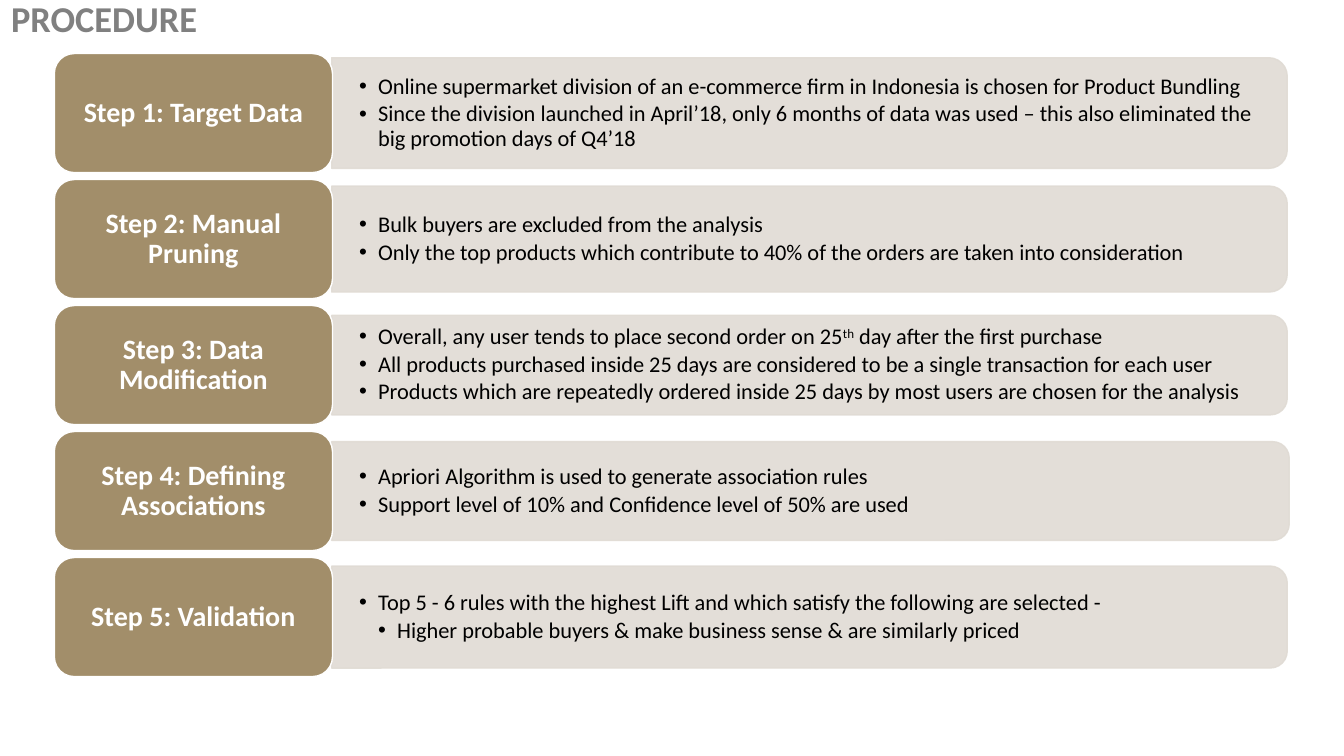
import dataclasses

import lxml.etree
import pptx
import pptx.dml.color
import pptx.enum.shapes
import pptx.enum.text
import pptx.oxml.ns
import pptx.shapes.autoshape
import pptx.slide
import pptx.text.text
import pptx.util

Cm = pptx.util.Cm
Pt = pptx.util.Pt


@dataclasses.dataclass(frozen=True)
class Theme:
    font: str = "Calibri"
    title: str = "808080"
    label: str = "A28E6A"
    panel: str = "E0DBD4"
    body: str = "000000"
    white: str = "FFFFFF"
    title_size: int = 26
    label_size: int = 20
    body_size: int = 16


@dataclasses.dataclass(frozen=True)
class Bullet:
    text: str  # parts between ^ marks are superscript
    level: int = 1


@dataclasses.dataclass(frozen=True)
class Step:
    label: str
    panel_height: float
    bullets: tuple[Bullet, ...]
    panel_width: float = 24.08


THEME = Theme()

# Row geometry in centimetres
FIRST_CENTER, PITCH = 2.85, 3.175
LABEL_LEFT, LABEL_WIDTH, LABEL_HEIGHT = 1.37, 7.01, 3.0
PANEL_LEFT = 8.36
INDENT = 0.48

STEPS = (
    Step("Step 1: Target Data", 2.79, (
        Bullet("Online supermarket division of an e-commerce firm in Indonesia "
               "is chosen for Product Bundling"),
        Bullet("Since the division launched in April’18, only 6 months of data was used – "
               "this also eliminated the big promotion days of Q4’18"),
    )),
    Step("Step 2: Manual Pruning", 2.67, (
        Bullet("Bulk buyers are excluded from the analysis"),
        Bullet("Only the top products which contribute to 40% of the orders "
               "are taken into consideration"),
    )),
    Step("Step 3: Data Modification", 2.51, (
        Bullet("Overall, any user tends to place second order on 25^th^ day "
               "after the first purchase"),
        Bullet("All products purchased inside 25 days are considered to be "
               "a single transaction for each user"),
        Bullet("Products which are repeatedly ordered inside 25 days by most users "
               "are chosen for the analysis"),
    )),
    Step("Step 4: Defining Associations", 2.49, (
        Bullet("Apriori Algorithm is used to generate association rules"),
        Bullet("Support level of 10% and Confidence level of 50% are used"),
    ), panel_width=24.13),
    Step("Step 5: Validation", 2.57, (
        Bullet("Top 5 - 6 rules with the highest Lift and which satisfy "
               "the following are selected -"),
        Bullet("Higher probable buyers & make business sense & are similarly priced", 2),
    )),
)


def rgb(color: str) -> pptx.dml.color.RGBColor:
    return pptx.dml.color.RGBColor.from_string(color)


def setup_frame(tf: pptx.text.text.TextFrame, inset_x: float, inset_y: float) -> None:
    tf.word_wrap = True
    tf.vertical_anchor = pptx.enum.text.MSO_ANCHOR.MIDDLE
    tf.margin_left = tf.margin_right = Cm(inset_x)
    tf.margin_top = tf.margin_bottom = Cm(inset_y)


def style_paragraph(p: pptx.text.text._Paragraph, size: int, color: str,
                    bold: bool = False) -> None:
    p.line_spacing = 0.9
    for r in p.runs:
        r.font.name = THEME.font
        r.font.size = Pt(size)
        r.font.bold = bold
        r.font.color.rgb = rgb(color)


def style_shape(sp: pptx.shapes.autoshape.Shape, fill: str, line: str) -> None:
    sp.shadow.inherit = False
    sp.fill.solid()
    sp.fill.fore_color.rgb = rgb(fill)
    sp.line.color.rgb = rgb(line)
    sp.line.width = Pt(1)


def add_title(s: pptx.slide.Slide, text: str) -> None:
    tf = s.shapes.add_textbox(Cm(0.03), Cm(0), Cm(27.94), Cm(1.07)).text_frame
    setup_frame(tf, 0.25, 0.13)
    tf.text = text
    style_paragraph(tf.paragraphs[0], THEME.title_size, THEME.title, bold=True)


def add_panel(s: pptx.slide.Slide, step: Step, center: float) -> None:
    # The shape is turned a quarter so that its rounded corners face right
    width, height = step.panel_height, step.panel_width
    sp = s.shapes.add_shape(
        pptx.enum.shapes.MSO_SHAPE.ROUND_2_SAME_RECTANGLE,
        Cm(PANEL_LEFT + (height - width) / 2), Cm(center - height / 2),
        Cm(width), Cm(height))
    sp.rotation = 90
    style_shape(sp, THEME.panel, THEME.panel)
    for color in sp._element.spPr.iter(pptx.oxml.ns.qn("a:srgbClr")):
        lxml.etree.SubElement(color, pptx.oxml.ns.qn("a:alpha"), val="90000")


def add_bullet(p: pptx.text.text._Paragraph, bullet: Bullet) -> None:
    for i, part in enumerate(bullet.text.split("^")):
        r = p.add_run()
        r.text = part
        if i % 2:
            r._r.get_or_add_rPr().set("baseline", "30000")
    style_paragraph(p, THEME.body_size, THEME.body)
    p.level = bullet.level
    p.space_after = Pt(2.4)
    ppr = p._p.get_or_add_pPr()
    ppr.set("marL", str(Cm(INDENT * bullet.level)))
    ppr.set("indent", str(-Cm(INDENT)))
    lxml.etree.SubElement(ppr, pptx.oxml.ns.qn("a:buFont"), typeface="Arial")
    lxml.etree.SubElement(ppr, pptx.oxml.ns.qn("a:buChar"), char="•")


def add_bullets(s: pptx.slide.Slide, step: Step, center: float) -> None:
    height = step.panel_height - 0.26
    tf = s.shapes.add_textbox(Cm(PANEL_LEFT), Cm(center - height / 2),
                              Cm(step.panel_width - 0.13), Cm(height)).text_frame
    setup_frame(tf, 0.69, 0.36)
    for i, bullet in enumerate(step.bullets):
        add_bullet(tf.add_paragraph() if i else tf.paragraphs[0], bullet)


def add_label(s: pptx.slide.Slide, text: str, center: float) -> None:
    sp = s.shapes.add_shape(
        pptx.enum.shapes.MSO_SHAPE.ROUNDED_RECTANGLE,
        Cm(LABEL_LEFT), Cm(center - LABEL_HEIGHT / 2), Cm(LABEL_WIDTH), Cm(LABEL_HEIGHT))
    style_shape(sp, THEME.label, THEME.white)
    tf = sp.text_frame
    setup_frame(tf, 0.2, 0.1)
    tf.text = text
    p = tf.paragraphs[0]
    p.alignment = pptx.enum.text.PP_ALIGN.CENTER
    style_paragraph(p, THEME.label_size, THEME.white, bold=True)


def main() -> None:
    prs = pptx.Presentation()
    prs.slide_width, prs.slide_height = Cm(33.87), Cm(19.05)
    s = prs.slides.add_slide(prs.slide_layouts[6])

    add_title(s, "PROCEDURE")

    # One row per step: panel, bullets, label
    for i, step in enumerate(STEPS):
        center = FIRST_CENTER + i * PITCH
        add_panel(s, step, center)
        add_bullets(s, step, center)
        add_label(s, step.label, center)

    prs.save("out.pptx")


if __name__ == "__main__":
    main()
